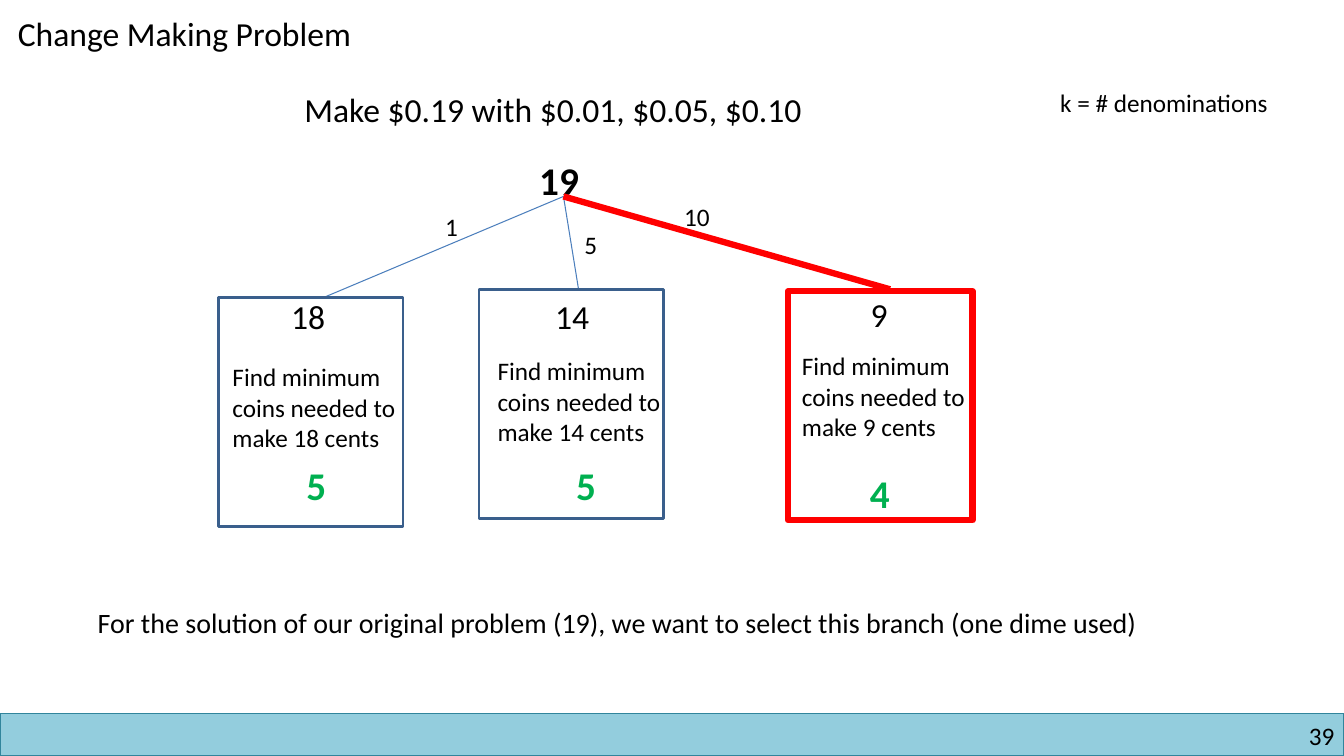
"""Build the change-making slide with its tree of three choices."""
from pptx import Presentation
from pptx.dml.color import RGBColor
from pptx.enum.shapes import MSO_CONNECTOR, MSO_SHAPE
from pptx.enum.text import MSO_AUTO_SIZE, PP_ALIGN
from pptx.oxml.ns import qn
from pptx.util import Cm, Pt
from lxml import etree

RECT = MSO_SHAPE.RECTANGLE
LINE = MSO_CONNECTOR.STRAIGHT
GROW = MSO_AUTO_SIZE.SHAPE_TO_FIT_TEXT
LEFT, RIGHT = PP_ALIGN.LEFT, PP_ALIGN.RIGHT
BLACK = RGBColor(0x00, 0x00, 0x00)
GREEN = RGBColor(0x00, 0xB0, 0x50)
RED = RGBColor(0xFF, 0x00, 0x00)
BLUE = RGBColor(0x4B, 0x7E, 0xBC)
NAVY = RGBColor(0x3A, 0x5F, 0x8C)
AQUA = RGBColor(0x93, 0xCD, 0xDD)
TEAL = RGBColor(0x31, 0x85, 0x9C)

deck = Presentation()
deck.slide_width, deck.slide_height = Cm(33.87), Cm(19.05)
shapes = deck.slides.add_slide(deck.slide_layouts[6]).shapes


def write(text, x, y, w, h=1.02, size=18, color=BLACK, bold=False, align=LEFT, inset=True):
    box = shapes.add_textbox(Cm(x), Cm(y), Cm(w), Cm(h))
    frame = box.text_frame
    frame.word_wrap = True
    frame.auto_size = GROW
    if not inset:
        frame.margin_left = frame.margin_right = 0
        frame.margin_top = frame.margin_bottom = 0
    para = frame.paragraphs[0]
    para.alignment = align
    run = para.add_run()
    run.text = text
    run.font.name = "Calibri"
    run.font.size = Pt(size)
    run.font.bold = bold
    run.font.color.rgb = color


def frame_box(x, y, w, h, color, width):
    box = shapes.add_shape(RECT, Cm(x), Cm(y), Cm(w), Cm(h))
    box.shadow.inherit = False
    box.fill.background()
    box.line.color.rgb = color
    box.line.width = Pt(width)
    return box


bar = frame_box(0, 17.98, 33.87, 1.07, TEAL, 1)
bar.fill.solid()
bar.fill.fore_color.rgb = AQUA
write("39", 25.83, 18.16, 7.8, 0.76, align=RIGHT, inset=False)

write("Change Making Problem", 0.2, 0.2, 9.93, 1.27, size=24)
write("Make $0.19 with $0.01, $0.05, $0.10", 7.42, 2.11, 14.35, 1.27, size=24)
write("k = # denominations", 26.47, 2.08, 6.27)
write("19", 13.34, 3.81, 1.63, 1.45, size=28, bold=True)

root = Cm(14.2), Cm(4.95)
edges = [
    ("1", 10.97, 5.21, 8.1, 7.52, BLUE, 0.75),
    ("5", 14.48, 5.66, 14.58, 7.29, BLUE, 0.75),
    ("10", 16.99, 4.95, 22.43, 7.29, RED, 4.5),
]
for coin, x, y, end_x, end_y, color, width in edges:
    edge = shapes.add_connector(LINE, *root, Cm(end_x), Cm(end_y))
    edge.line.color.rgb = color
    edge.line.width = Pt(width)
    etree.SubElement(edge._element.spPr, qn("a:effectLst"))
    write(coin, x, y, 1.22)

nodes = [
    ("18", "5", (5.51, 7.49), (7.09, 7.34), (5.61, 8.99), (7.47, 11.51), NAVY, 2),
    ("14", "5", (12.07, 7.29), (13.74, 7.32), (12.29, 8.84), (14.27, 11.51), NAVY, 2),
    ("9", "4", (19.86, 7.34), (21.69, 7.29), (19.96, 8.71), (21.67, 11.71), RED, 4.5),
]
for cents, coins, box_at, cents_at, task_at, coins_at, color, width in nodes:
    frame_box(*box_at, 4.65, 5.77, color, width)
    write(cents, *cents_at, 1.47, 1.27, size=24)
    write(f"Find minimum coins needed to make {cents} cents", *task_at, 4.98, 3.33)
    write(coins, *coins_at, 1.07, 1.45, size=28, color=GREEN, bold=True)

write(
    "For the solution of our original problem (19), we want to select this branch (one dime used)",
    2.21, 15.14, 29.03, 1.12, size=20,
)

deck.save("out.pptx")
